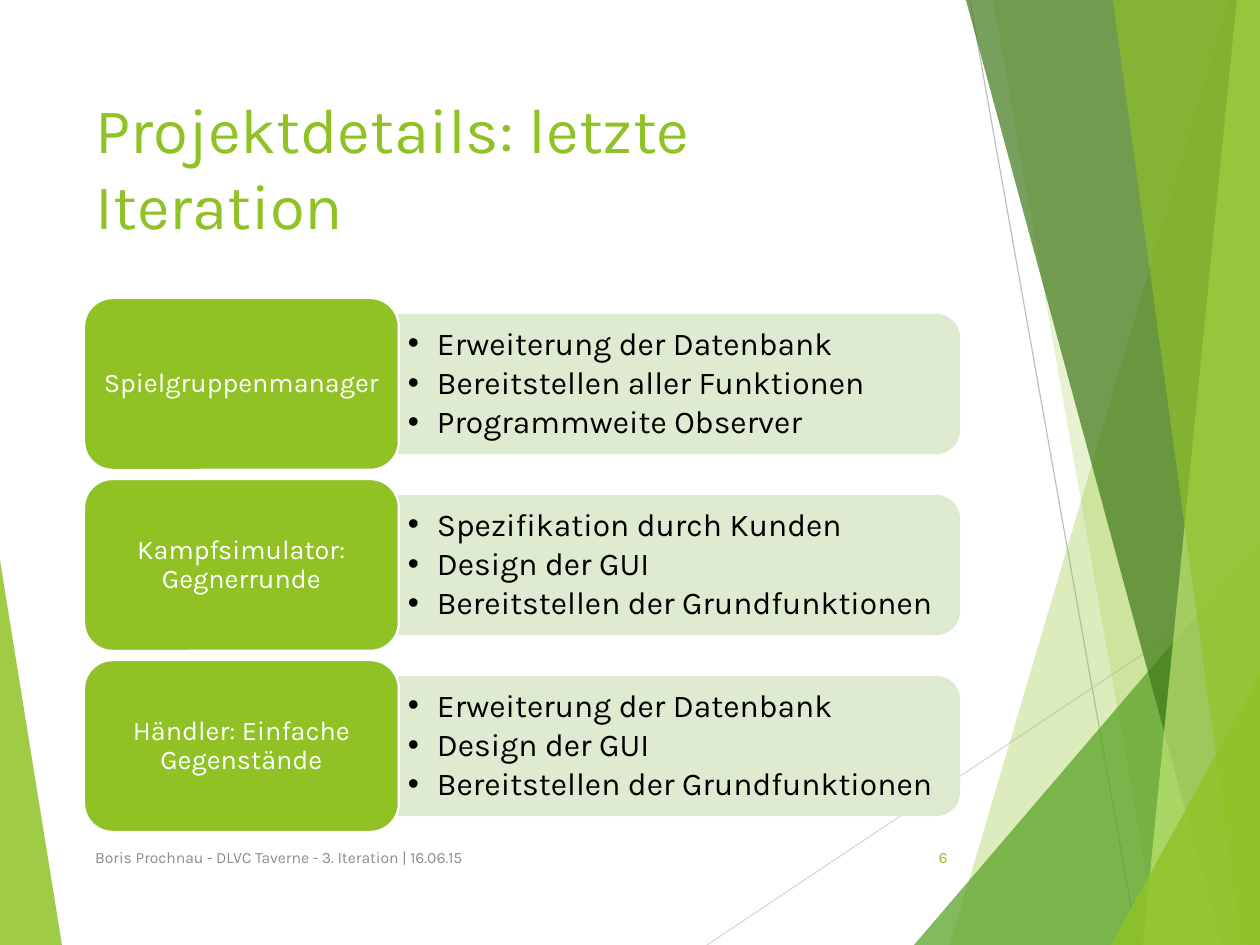
"""Build the slide on the last project iteration."""
from dataclasses import dataclass
from lxml.etree import SubElement as Sub
from pptx import Presentation
from pptx.dml.color import RGBColor
from pptx.enum.shapes import MSO_CONNECTOR as Link, MSO_SHAPE as Form
from pptx.enum.text import MSO_ANCHOR as Anchor, PP_ALIGN as Align
from pptx.oxml.ns import qn
from pptx.util import Pt

SCALE = 8000
SIZE = {"slide_width": 10080625, "slide_height": 7559675}
FONT = "Karla"
LIME, LEAF, MOSS, PALE = "90C226", "54A021", "3F7819", "C0E474"
MINT, WHITE, BLACK, GREY = "DBE9CD", "FFFFFF", "000000", "8C8C8C"
WIDE, HIGH = 1260, 945
TOP, STEP = 298, 181


@dataclass
class Shard:
    pts: list[tuple[int, int]]
    tint: str
    alpha: int


@dataclass
class Ray:
    ends: tuple[int, int, int, int]
    tint: str


@dataclass
class Task:
    name: str
    items: list[str]


SHARDS = [
    Shard([(0, 560), (62, HIGH), (0, HIGH)], LIME, 85),
    Shard([(1229, 0), (950, HIGH), (WIDE, HIGH), (WIDE, 0)], LIME, 30),
    Shard([(993, 0), (1159, HIGH), (WIDE, HIGH), (WIDE, 0)], LIME, 20),
    Shard([(914, HIGH), (WIDE, 541), (WIDE, HIGH)], LEAF, 72),
    Shard([(966, 0), (1222, HIGH), (WIDE, HIGH), (WIDE, 0)], MOSS, 70),
    Shard([(1237, 0), (1143, HIGH), (WIDE, HIGH), (WIDE, 0)], PALE, 70),
    Shard([(1113, 0), (1242, HIGH), (WIDE, HIGH), (WIDE, 0)], LIME, 65),
    Shard([(1111, HIGH), (WIDE, 675), (WIDE, HIGH)], LIME, 80),
]
RAYS = [
    Ray((707, HIGH, WIDE, 576), "D9D9D9"),
    Ray((970, 0, 1138, HIGH), "BFBFBF"),
]
TASKS = [
    Task("Spielgruppenmanager", ["Erweiterung der Datenbank",
         "Bereitstellen aller Funktionen", "Programmweite Observer"]),
    Task("Kampfsimulator: Gegnerrunde", ["Spezifikation durch Kunden",
         "Design der GUI", "Bereitstellen der Grundfunktionen"]),
    Task("Händler: Einfache Gegenstände", ["Erweiterung der Datenbank",
         "Design der GUI", "Bereitstellen der Grundfunktionen"]),
]


def px(*nums: int) -> list[int]:
    return [num * SCALE for num in nums]


def rgb(tint: str) -> RGBColor:
    return RGBColor.from_string(tint)


def put(obj, fmt: dict) -> None:
    for name, val in fmt.items():
        setattr(obj, name, val)


def paint(shape, tint: str, edge: str = "", alpha: int = 100) -> None:
    shape.shadow.inherit = False
    shape.fill.solid()
    shape.fill.fore_color.rgb = rgb(tint)
    if edge:
        shape.line.color.rgb = rgb(edge)
        shape.line.width = Pt(1.5)
    else:
        shape.line.fill.background()
    if alpha < 100:
        for node in list(shape._element.spPr.iter(qn("a:srgbClr"))):
            Sub(node, qn("a:alpha"), val=str(alpha * 1000))


def write(shape, lines: list[str], size: float, tint: str,
          frame: dict, para: dict, dots: bool = False) -> None:
    body = shape.text_frame
    put(body, {"word_wrap": True, "vertical_anchor": Anchor.MIDDLE} | frame)
    for idx, line in enumerate(lines):
        par = body.paragraphs[0] if idx == 0 else body.add_paragraph()
        run = par.add_run()
        run.text = line
        put(par, para)
        put(run.font, {"name": FONT, "size": Pt(size)})
        run.font.color.rgb = rgb(tint)
        if dots:
            props = par._p.get_or_add_pPr()
            props.set("marL", str(29 * SCALE))
            props.set("indent", str(-29 * SCALE))
            Sub(props, qn("a:buFont"), typeface="Arial")
            Sub(props, qn("a:buChar"), char="•")


def draw_shard(shapes, shard: Shard) -> None:
    pen = shapes.build_freeform(*shard.pts[0], scale=float(SCALE))
    pen.add_line_segments(shard.pts[1:], close=True)
    paint(pen.convert_to_shape(), shard.tint, alpha=shard.alpha)


def draw_ray(shapes, ray: Ray) -> None:
    line = shapes.add_connector(Link.STRAIGHT, *px(*ray.ends))
    line.line.color.rgb = rgb(ray.tint)
    line.line.width = Pt(0.75)
    Sub(line._element.spPr, qn("a:effectLst"))


def draw_task(shapes, task: Task, top: int) -> None:
    panel = shapes.add_shape(Form.ROUND_2_SAME_RECTANGLE,
                             *px(610, top - 194, 138, 560))
    panel.rotation = 90
    paint(panel, MINT, MINT, 90)
    pad = dict(zip(("margin_left", "margin_top", "margin_right",
                    "margin_bottom"), px(9, 5, 9, 5)))
    box = shapes.add_textbox(*px(399, top + 24, 553, 124))
    write(box, task.items, 20, BLACK, pad,
          {"level": 1, "line_spacing": 0.9, "space_after": Pt(3)}, True)
    card = shapes.add_shape(Form.ROUNDED_RECTANGLE, *px(84, top, 315, 172))
    paint(card, LIME, WHITE)
    pad |= {"margin_left": 8 * SCALE, "margin_right": 8 * SCALE}
    write(card, [task.name], 17, WHITE, pad,
          {"line_spacing": 0.9, "alignment": Align.CENTER})


def main() -> None:
    deck = Presentation()
    put(deck, SIZE)
    shapes = deck.slides.add_slide(deck.slide_layouts[5]).shapes
    title = shapes.title
    put(title, dict(zip(("left", "top", "width", "height"),
                        px(84, 84, 874, 182))))
    write(title, ["Projektdetails: letzte Iteration"], 40, LIME,
          {"margin_right": 34 * SCALE, "vertical_anchor": Anchor.TOP},
          {"alignment": Align.LEFT})
    draw_shard(shapes, SHARDS[0])
    for ray in RAYS:
        draw_ray(shapes, ray)
    for shard in SHARDS[1:]:
        draw_shard(shapes, shard)
    for idx, task in enumerate(TASKS):
        draw_task(shapes, task, TOP + idx * STEP)
    foot = shapes.add_textbox(*px(84, 832, 637, 50))
    write(foot, ["Boris Prochnau - DLVC Taverne - 3. Iteration | 16.06.15"],
          9.9, GREY, {}, {"alignment": Align.LEFT})
    page = shapes.add_textbox(*px(888, 832, 71, 50))
    write(page, ["6"], 9.9, LIME, {}, {"alignment": Align.RIGHT})
    deck.save("out.pptx")


if __name__ == "__main__":
    main()
